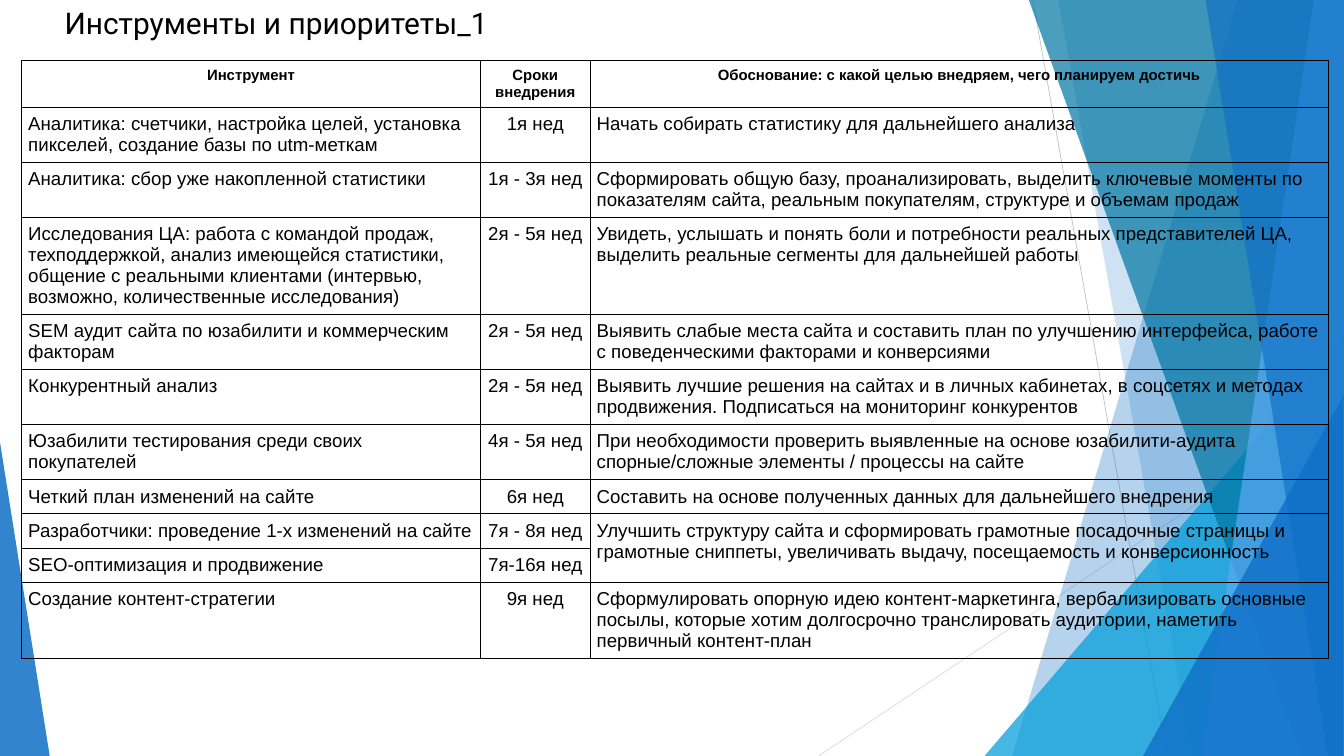
from pptx import Presentation
from pptx.dml.color import RGBColor
from pptx.enum.shapes import MSO_CONNECTOR, MSO_SHAPE
from pptx.enum.text import MSO_ANCHOR, MSO_AUTO_SIZE, PP_ALIGN
from pptx.oxml import parse_xml
from pptx.oxml.ns import nsdecls, qn
from pptx.util import Inches, Pt
from lxml.etree import SubElement

# Content
TITLE = "Инструменты и приоритеты_1"
HEADER = ("Инструмент", "Сроки внедрения",
          "Обоснование: с какой целью внедряем, чего планируем достичь")
# An empty reason continues the cell above
ROWS = [
    ("Аналитика: счетчики, настройка целей, установка пикселей, создание базы по utm-меткам",
     "1я нед",
     "Начать собирать статистику для дальнейшего анализа"),
    ("Аналитика: сбор уже накопленной статистики",
     "1я - 3я нед",
     "Сформировать общую базу, проанализировать, выделить ключевые моменты по "
     "показателям сайта, реальным покупателям, структуре и объемам продаж"),
    ("Исследования ЦА: работа с командой продаж, техподдержкой, анализ имеющейся статистики, "
     "общение с реальными клиентами (интервью, возможно, количественные исследования)",
     "2я - 5я нед",
     "Увидеть, услышать и понять боли и потребности реальных представителей ЦА, "
     "выделить реальные сегменты для дальнейшей работы"),
    ("SEM аудит сайта по юзабилити и коммерческим факторам",
     "2я - 5я нед",
     "Выявить слабые места сайта и составить план по улучшению интерфейса, "
     "работе с поведенческими факторами и конверсиями"),
    ("Конкурентный анализ",
     "2я - 5я нед",
     "Выявить лучшие решения на сайтах и в личных кабинетах, в соцсетях и методах "
     "продвижения. Подписаться на мониторинг конкурентов"),
    ("Юзабилити тестирования среди своих покупателей",
     "4я - 5я нед",
     "При необходимости проверить выявленные на основе юзабилити-аудита "
     "спорные/сложные элементы / процессы на сайте"),
    ("Четкий план изменений на сайте",
     "6я нед",
     "Составить на основе полученных данных для дальнейшего внедрения"),
    ("Разработчики: проведение 1-х изменений на сайте",
     "7я - 8я нед",
     "Улучшить структуру сайта и сформировать грамотные посадочные страницы и "
     "грамотные сниппеты, увеличивать выдачу, посещаемость и конверсионность"),
    ("SEO-оптимизация и продвижение", "7я-16я нед", ""),
    ("Cоздание контент-стратегии",
     "9я нед",
     "Сформулировать опорную идею контент-маркетинга, вербализировать основные посылы, "
     "которые хотим долгосрочно транслировать аудитории, наметить первичный контент-план"),
]
COL_WIDTHS = (6.83, 1.63, 10.99)
ROW_HEIGHT = 0.42

# Decoration, back to front
W, H = 20, 11.25
LINES = [((15.37, 0), (17.37, H), "BFBFBF"), ((W, 6.04), (12.18, H), "D9D9D9")]
# Bands reach the right edge: (left x at top, left x at bottom, colour, opacity)
# Triangles stand on the bottom edge: (left, top, width, apex, colour, opacity)
DECOR = [
    (18.42, 15.06, "0F6FC6", 30),
    (15.75, 17.74, "0F6FC6", 20),
    (14.65, 5, 5.35, 1, "009DD9", 72),
    (15.31, 19.37, "0076A3", 70),
    (19.55, 17.88, "59AAF2", 70),
    (17.94, 19.76, "0F6FC6", 65),
    (17.01, 5.89, 2.98, 1, "0F6FC6", 80),
    (0, 6.58, 0.74, 0, "0F6FC6", 85),
]


def rgb(color):
    return RGBColor.from_string(color)


def paint(sp, color, opacity):
    sp.shadow.inherit = False
    sp.line.fill.background()
    sp.fill.solid()
    sp.fill.fore_color.rgb = rgb(color)
    clr = sp.fill._xPr.find(".//" + qn("a:srgbClr"))
    SubElement(clr, qn("a:alpha"), val=str(opacity * 1000))


def add_line(s, start, end, color):
    cn = s.shapes.add_connector(MSO_CONNECTOR.STRAIGHT, *map(Inches, start + end))
    cn.line.color.rgb = rgb(color)
    cn.line.width = Pt(0.75)
    SubElement(cn._element.spPr, qn("a:effectLst"))


def add_band(s, top_x, bottom_x, color, opacity):
    fb = s.shapes.build_freeform(Inches(top_x), 0)
    fb.add_line_segments([(Inches(x), Inches(y))
                          for x, y in ((W, 0), (W, H), (bottom_x, H))])
    paint(fb.convert_to_shape(), color, opacity)


def add_triangle(s, left, top, width, apex, color, opacity):
    sp = s.shapes.add_shape(MSO_SHAPE.ISOSCELES_TRIANGLE,
                            *map(Inches, (left, top, width, H - top)))
    sp.adjustments[0] = apex
    paint(sp, color, opacity)


def add_run(p, text, size, font, bold=False):
    r = p.add_run()
    r.text = text
    r.font.size, r.font.name, r.font.bold = Pt(size), font, bold
    r.font.color.rgb = rgb("000000")


def format_cell(cell):
    cell.margin_left = cell.margin_right = Inches(0.1)
    cell.margin_top = cell.margin_bottom = Inches(0.1)
    cell.fill.background()
    tcPr = cell._tc.get_or_add_tcPr()
    for i, side in enumerate("LRTB"):
        tcPr.insert(i, parse_xml(
            f'<a:ln{side} {nsdecls("a")} w="{Pt(1)}"><a:solidFill>'
            f'<a:srgbClr val="000000"/></a:solidFill></a:ln{side}>'))


def add_plan(s):
    rows = [HEADER] + ROWS
    frame = s.shapes.add_table(len(rows), len(HEADER), Inches(0.32), Inches(0.9),
                               Inches(sum(COL_WIDTHS)), Inches(ROW_HEIGHT * len(rows)))
    table = frame.table
    table.first_row = table.horz_banding = False
    for col, width in zip(table.columns, COL_WIDTHS):
        col.width = Inches(width)
    for i, row in enumerate(rows):
        table.rows[i].height = Inches(ROW_HEIGHT)
        for j, text in enumerate(row):
            cell = table.cell(i, j)
            format_cell(cell)
            if not text:
                table.cell(i - 1, j).merge(cell)
                continue
            p = cell.text_frame.paragraphs[0]
            p.alignment = PP_ALIGN.CENTER if i == 0 or j == 1 else PP_ALIGN.LEFT
            add_run(p, text, 16 if i == 0 else 20, "Arial", i == 0)


def add_title(s):
    sp = s.shapes.title
    sp.left, sp.top, sp.width, sp.height = map(Inches, (0.86, 0.02, 9.35, 0.64))
    tf = sp.text_frame
    tf.word_wrap = True
    tf.auto_size = MSO_AUTO_SIZE.NONE
    tf.vertical_anchor = MSO_ANCHOR.TOP
    p = tf.paragraphs[0]
    p.alignment = PP_ALIGN.LEFT
    add_run(p, TITLE, 32, "Roboto")


def main():
    prs = Presentation()
    prs.slide_width, prs.slide_height = Inches(W), Inches(H)
    s = prs.slides.add_slide(prs.slide_layouts[5])
    for line in LINES:
        add_line(s, *line)
    for part in DECOR:
        add = add_band if len(part) == 4 else add_triangle
        add(s, *part)
    add_plan(s)
    add_title(s)
    prs.save("out.pptx")


if __name__ == "__main__":
    main()
